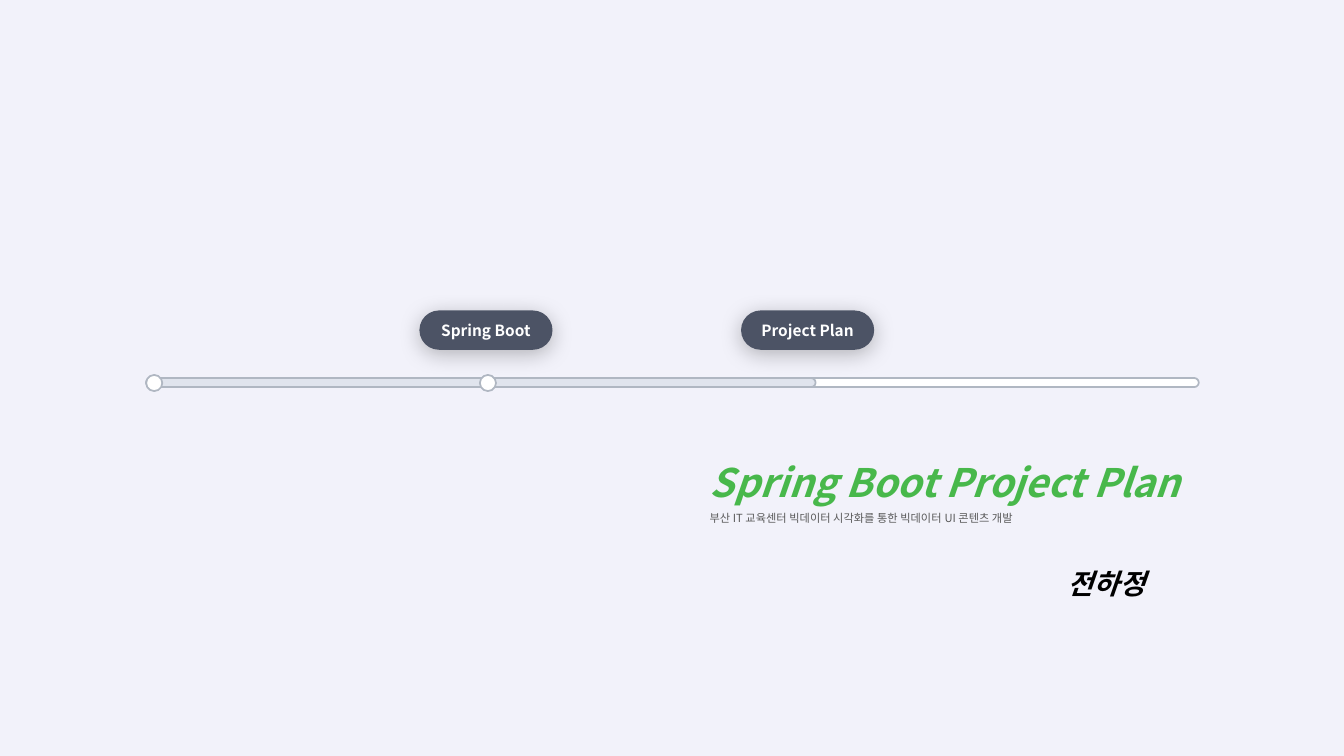
import pptx
import pptx.dml.color
import pptx.enum.shapes
import pptx.enum.text
import pptx.oxml.ns
import pptx.util
from lxml import etree

Inches, Pt = pptx.util.Inches, pptx.util.Pt
RGB = pptx.dml.color.RGBColor.from_string
qn = pptx.oxml.ns.qn
ALIGN = pptx.enum.text.PP_ALIGN
ANCHOR = pptx.enum.text.MSO_ANCHOR

THEME = {
    "font": "Noto Sans CJK KR",
    "background": "F2F2FA", "white": "FFFFFF", "outline": "B0B7C2",
    "progress": "E0E4ED", "pill": "4C5365", "title": "48B84B",
    "subtitle": "595959", "author": "000000", "shadow": "000000",
    "pill_size": 11, "title_size": 28, "subtitle_size": 8, "author_size": 20,
}


def add_text(p, text, size, color, bold=False, italic=False,
             align=ALIGN.LEFT, spacing=1.0, before=0):
    p.alignment = align
    p.line_spacing = spacing
    p.space_before = Pt(before)
    r = p.add_run()
    r.text = text
    r.font.size = Pt(size)
    r.font.bold = bold
    r.font.italic = italic
    r.font.color.rgb = RGB(color)
    r.font.name = THEME["font"]
    ea = etree.SubElement(r.font._element, qn("a:ea"))
    ea.set("typeface", THEME["font"])


def add_rounded(s, left, top, width, height, fill, line=None):
    sp = s.shapes.add_shape(pptx.enum.shapes.MSO_SHAPE.ROUNDED_RECTANGLE,
                            Inches(left), Inches(top), Inches(width), Inches(height))
    sp.adjustments[0] = 0.5
    sp.shadow.inherit = False
    sp.fill.solid()
    sp.fill.fore_color.rgb = RGB(fill)
    if line:
        sp.line.color.rgb = RGB(line)
        sp.line.width = Pt(1.25)
    else:
        sp.line.fill.background()
    return sp


prs = pptx.Presentation()
prs.slide_width, prs.slide_height = Inches(13.33), Inches(7.5)
s = prs.slides.add_slide(prs.slide_layouts[6])
s.background.fill.solid()
s.background.fill.fore_color.rgb = RGB(THEME["background"])

# Timeline: full track, then its two completed sections
for left, width, fill in [(1.45, 10.44, "white"), (4.73, 3.36, "progress"),
                          (1.45, 3.36, "progress")]:
    add_rounded(s, left, 3.75, width, 0.09, THEME[fill], THEME["outline"])

# Milestone dots
for left in (1.45, 4.76):
    add_rounded(s, left, 3.72, 0.16, 0.16, THEME["white"], THEME["outline"])

# Milestone labels with a soft shadow below
for left, label in [(4.16, "Spring Boot"), (7.35, "Project Plan")]:
    sp = add_rounded(s, left, 3.08, 1.32, 0.39, THEME["pill"])
    effects = sp._element.spPr.find(qn("a:effectLst"))
    shadow = etree.SubElement(effects, qn("a:outerShdw"), blurRad=str(Pt(16)),
                              dist=str(Pt(3)), dir="5400000", algn="t", rotWithShape="0")
    color = etree.SubElement(shadow, qn("a:srgbClr"), val=THEME["shadow"])
    etree.SubElement(color, qn("a:alpha"), val="26000")
    tf = sp.text_frame
    tf.word_wrap = True
    tf.vertical_anchor = ANCHOR.MIDDLE
    add_text(tf.paragraphs[0], label, THEME["pill_size"], THEME["white"],
             bold=True, align=ALIGN.CENTER)

# Title, course and author
tf = s.shapes.add_textbox(Inches(6.94), Inches(4.26), Inches(5.08), Inches(1.72)).text_frame
tf.word_wrap = True
add_text(tf.paragraphs[0], "Spring Boot Project Plan", THEME["title_size"],
         THEME["title"], bold=True, italic=True, spacing=1.5)
add_text(tf.add_paragraph(), "부산 IT 교육센터 빅데이터 시각화를 통한 빅데이터 UI 콘텐츠 개발",
         THEME["subtitle_size"], THEME["subtitle"], spacing=1.5)
p = tf.add_paragraph()
add_text(p, "전하정", THEME["author_size"], THEME["author"],
         bold=True, italic=True, spacing=1.5, before=17.5)
pPr = p._p.get_or_add_pPr()
pPr.set("marL", str(Inches(3.55)))
pPr.set("indent", "0")

prs.save("out.pptx")
